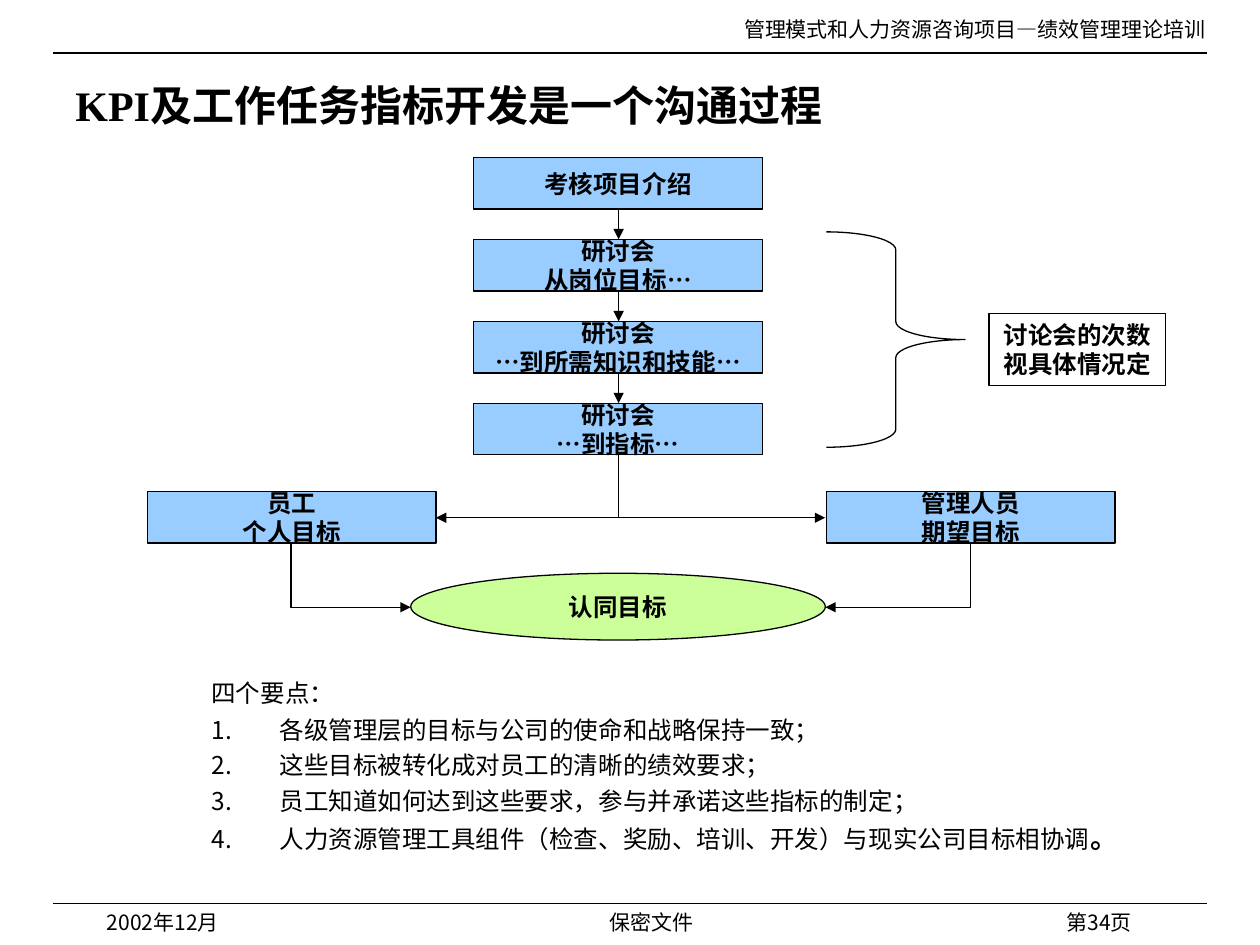
from lxml.etree import SubElement
from pptx import Presentation
from pptx.dml.color import RGBColor
from pptx.enum.shapes import MSO_CONNECTOR as Connector, MSO_SHAPE as Shape
from pptx.enum.text import MSO_ANCHOR as Anchor, PP_ALIGN as Align
from pptx.oxml.ns import qn
from pptx.util import Inches, Pt

COLORS = {"ink": "000000", "step": "99CCFF", "goal": "CCFF99"}
SERIF, SANS = "Times New Roman", "Noto Sans CJK SC"

presentation = Presentation()
presentation.slide_width, presentation.slide_height = Inches(10), Inches(7.5)
slide = presentation.slides.add_slide(presentation.slide_layouts[6])
shapes = slide.shapes
COLUMN = presentation.slide_width / 100
ROW = presentation.slide_height / 75
ink = RGBColor.from_string(COLORS["ink"])


def place(*lengths):
    return [round(length * unit) for length, unit in zip(lengths, (COLUMN, ROW) * 2)]


def write(shape, lines, size, font, align=Align.LEFT, bold=False, wrap=True, anchor=Anchor.TOP):
    frame = shape.text_frame
    frame.word_wrap, frame.vertical_anchor = wrap, anchor
    frame.text = "\n".join(lines)
    for paragraph in frame.paragraphs:
        paragraph.alignment = align
        paragraph.font.size, paragraph.font.name = Pt(size), font
        paragraph.font.bold, paragraph.font.color.rgb = bold, ink


captions = [
    (7.5, 71.7, 20.8, 2.5, "2002年12月", SANS, Align.LEFT),
    (29.2, 71.7, 45, 2.5, "保密文件", SANS, Align.CENTER),
    (70, 71.7, 20.8, 1.7, "第34页", SANS, Align.RIGHT),
    (50, 0.8, 46.7, 3, "管理模式和人力资源咨询项目—绩效管理理论培训", SERIF, Align.RIGHT),
]
for *bounds, caption, font, align in captions:
    write(shapes.add_textbox(*place(*bounds)), [caption], 12, font, align)

title = shapes.add_textbox(*place(5, 5, 89.2, 6.7))
write(title, ["KPI及工作任务指标开发是一个沟通过程"], 24, SERIF, bold=True, anchor=Anchor.MIDDLE)

BOX_WIDTH, BOX_HEIGHT = 22.9, 4.1
STEP_LEFT, STEP_TOP, STEP_PITCH = 37.6, 12.5, 6.5
CENTER = 49.1
steps = [
    ["考核项目介绍"],
    ["研讨会", "从岗位目标…"],
    ["研讨会", "…到所需知识和技能…"],
    ["研讨会", "…到指标…"],
]
nodes = [
    (Shape.RECTANGLE, STEP_LEFT, STEP_TOP + index * STEP_PITCH, BOX_WIDTH, BOX_HEIGHT, "step", lines)
    for index, lines in enumerate(steps)
] + [
    (Shape.RECTANGLE, 11.7, 39, BOX_WIDTH, BOX_HEIGHT, "step", ["员工", "个人目标"]),
    (Shape.RECTANGLE, 65.6, 39, BOX_WIDTH, BOX_HEIGHT, "step", ["管理人员", "期望目标"]),
    (Shape.OVAL, 32.6, 45.5, 32.9, 5.3, "goal", ["认同目标"]),
    (Shape.RIGHT_BRACE, 65.6, 18.4, 11, 17.1, None, []),
    (Shape.RECTANGLE, 78.5, 24.9, 14, 5.7, None, ["讨论会的次数视具体情况定"]),
]
for kind, *bounds, color, lines in nodes:
    node = shapes.add_shape(kind, *place(*bounds))
    node.shadow.inherit = False
    node.line.color.rgb, node.line.width = ink, Pt(0.75)
    if color:
        node.fill.solid()
        node.fill.fore_color.rgb = RGBColor.from_string(COLORS[color])
    else:
        node.fill.background()
    if kind == Shape.RIGHT_BRACE:
        node.adjustments[0] = 0.13
    if lines:
        write(node, lines, 14, SERIF, Align.CENTER, True, not color,
              Anchor.MIDDLE if color else Anchor.TOP)

rules = [(Connector.STRAIGHT, 4.2, y, 95.8, y, None) for y in (4.2, 71.7)]
arrows = [
    (Connector.STRAIGHT, CENTER, STEP_TOP + index * STEP_PITCH + BOX_HEIGHT,
     CENTER, STEP_TOP + (index + 1) * STEP_PITCH, "tailEnd")
    for index in range(len(steps) - 1)
]
elbows = [
    (Connector.ELBOW, *ends, "headEnd")
    for ends in (
        (65.5, 41.1, CENTER, 36.1),
        (34.6, 41.1, CENTER, 36.1),
        (32.6, 48.2, 23.1, 43.2),
        (65.5, 48.2, 77, 43.2),
    )
]
for kind, *ends, arrowhead in rules + arrows + elbows:
    connector = shapes.add_connector(kind, *place(*ends))
    connector.line.color.rgb, connector.line.width = ink, Pt(0.75)
    properties = connector._element.spPr
    if kind == Connector.ELBOW:
        properties.find(qn("a:prstGeom")).set("prst", "bentConnector2")
    if arrowhead:
        SubElement(properties.find(qn("a:ln")), qn(f"a:{arrowhead}"), type="triangle")
    SubElement(properties, qn("a:effectLst"))

points = [
    "四个要点：",
    "各级管理层的目标与公司的使命和战略保持一致；",
    "这些目标被转化成对员工的清晰的绩效要求；",
    "员工知道如何达到这些要求，参与并承诺这些指标的制定；",
    "人力资源管理工具组件（检查、奖励、培训、开发）与现实公司目标相协调",
]
summary = shapes.add_textbox(*place(15.8, 53.3, 78.3, 14.9))
write(summary, points, 14, SANS)
numbered = summary.text_frame.paragraphs[1:]
for paragraph in numbered:
    paragraph.line_spacing, paragraph.space_before = 0.7, Pt(8.8)
    settings = paragraph._p.get_or_add_pPr()
    indent = round(5.4 * COLUMN)
    settings.set("marL", str(indent))
    settings.set("indent", str(-indent))
    numbering = SubElement(settings, qn("a:buAutoNum"), type="arabicPeriod")
    settings.find(qn("a:defRPr")).addprevious(numbering)
numbered[-1].line_spacing, numbered[-1].space_before = 0.6, Pt(10)
full_stop = numbered[-1].add_run()
full_stop.text = "。"
full_stop.font.size, full_stop.font.bold = Pt(16), True

presentation.save("out.pptx")
